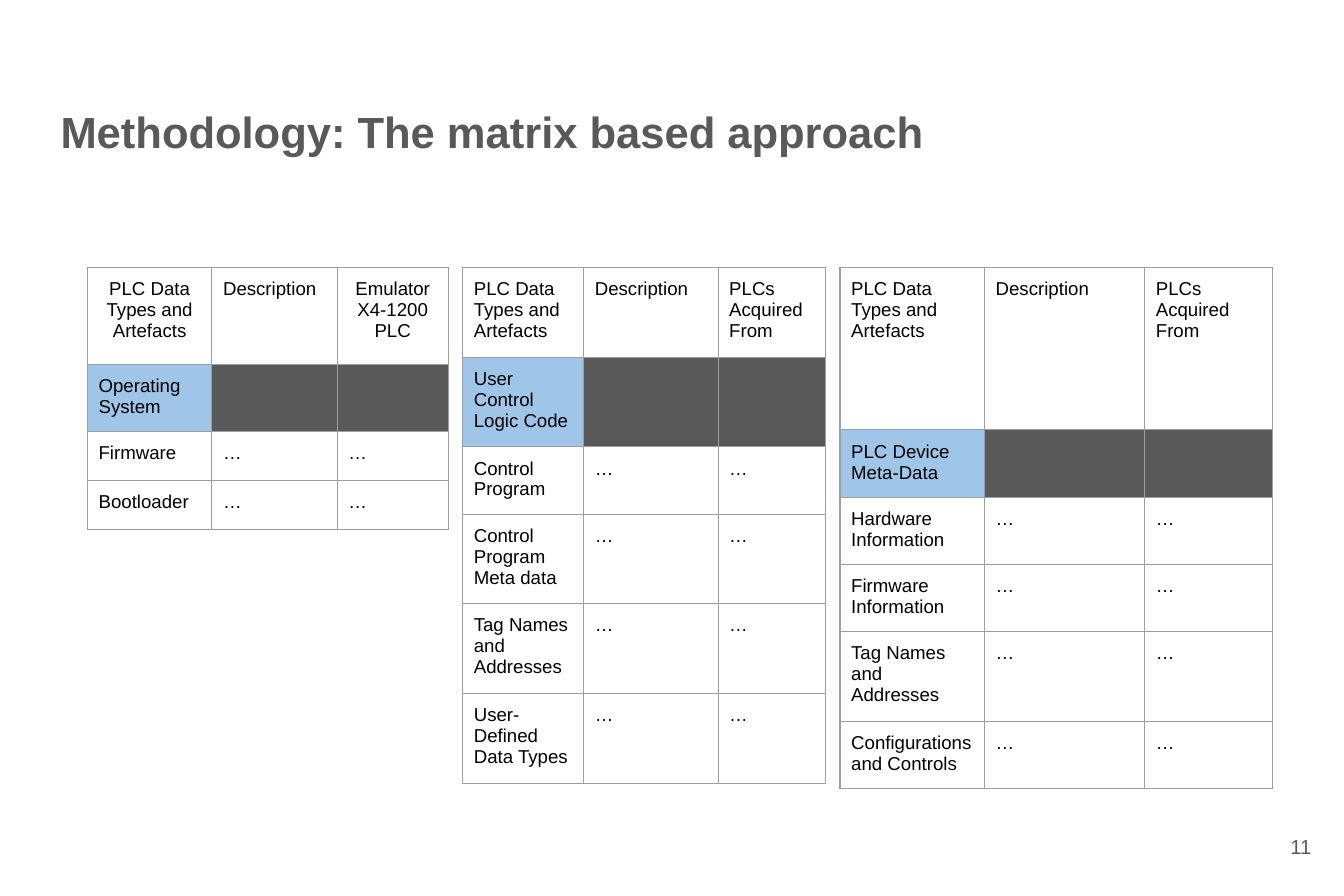
from lxml import etree
from pptx import Presentation
from pptx.dml.color import RGBColor
from pptx.enum.text import MSO_ANCHOR, PP_ALIGN
from pptx.oxml.ns import qn
from pptx.util import Pt

LEFT, CENTER, RIGHT = PP_ALIGN.LEFT, PP_ALIGN.CENTER, PP_ALIGN.RIGHT
MIDDLE = MSO_ANCHOR.MIDDLE
GRAY, BLACK, BLUE, BORDER = "595959", "000000", "9FC5E8", "9E9E9E"
TABLE_TOP = 172
CELL_MARGIN = 7.2
LINE_HEIGHT = 13.4


def color(value):
    return RGBColor.from_string(value)


def write(text_frame, text, size=12, font_color=BLACK, bold=False, align=LEFT, spacing=1.0):
    text_frame.word_wrap = True
    paragraph = text_frame.paragraphs[0]
    paragraph.alignment = align
    paragraph.line_spacing = spacing
    run = paragraph.add_run()
    run.text = text
    run.font.name = "Arial"
    run.font.size = Pt(size)
    run.font.bold = bold
    run.font.color.rgb = color(font_color)


presentation = Presentation()
presentation.slide_width = Pt(864)
presentation.slide_height = Pt(576)
slide = presentation.slides.add_slide(presentation.slide_layouts[6])

# Title and page number
text_boxes = [
    ((29.5, 49.7, 805, 64), "Methodology: The matrix based approach",
     {"size": 28, "bold": True, "spacing": 1.15}),
    ((800.6, 522, 51.8, 44), "11", {"size": 13, "align": RIGHT}),
]
for box, text, text_format in text_boxes:
    text_frame = slide.shapes.add_textbox(*map(Pt, box)).text_frame
    text_frame.margin_left = text_frame.margin_right = Pt(9.4)
    text_frame.margin_top = text_frame.margin_bottom = Pt(9.4)
    text_frame.vertical_anchor = MIDDLE
    write(text_frame, text, font_color=GRAY, **text_format)

# Matrices: each artefact comes with the number of lines it takes
matrices = [
    {"left": 56.2, "columns": [80, 80.6, 71.3], "header_height": 62.3,
     "source": "Emulator X4-1200 PLC", "header_align": CENTER, "minimum": 31.6,
     "artefacts": [("Operating System", 2), ("Firmware", 1), ("Bootloader", 1)]},
    {"left": 297.4, "columns": [77.8, 86.4, 69.1], "header_height": 54.6,
     "source": "PLCs Acquired From", "header_align": LEFT, "minimum": 36,
     "artefacts": [("User Control Logic Code", 3), ("Control Program", 2),
                   ("Control Program Meta data", 3), ("Tag Names and Addresses", 3),
                   ("User-Deﬁned Data Types", 3)]},
    {"left": 540, "columns": [92.9, 103, 82], "header_height": 104.4,
     "source": "PLCs Acquired From", "header_align": LEFT, "minimum": 36,
     "artefacts": [("PLC Device Meta-Data", 2), ("Hardware Information", 2),
                   ("Firmware Information", 2), ("Tag Names and Addresses", 3),
                   ("Conﬁgurations and Controls", 2)]},
]

for matrix in matrices:
    heights = [matrix["header_height"]]
    rows = [["PLC Data Types and Artefacts", "Description", matrix["source"]]]
    for position, (artefact, lines) in enumerate(matrix["artefacts"]):
        heights.append(max(matrix["minimum"], lines * LINE_HEIGHT + 2 * CELL_MARGIN))
        rows.append([artefact] + ["" if position == 0 else "…"] * 2)

    table = slide.shapes.add_table(
        len(rows), 3, Pt(matrix["left"]), Pt(TABLE_TOP),
        Pt(sum(matrix["columns"])), Pt(sum(heights))).table
    table.first_row = table.horz_banding = False
    for column, width in zip(table.columns, matrix["columns"]):
        column.width = Pt(width)

    for row_index, texts in enumerate(rows):
        table.rows[row_index].height = Pt(heights[row_index])
        for column_index, text in enumerate(texts):
            cell = table.cell(row_index, column_index)
            cell.margin_left = cell.margin_right = Pt(CELL_MARGIN)
            cell.margin_top = cell.margin_bottom = Pt(CELL_MARGIN)

            # Borders come before the fill in the cell properties
            properties = cell._tc.get_or_add_tcPr()
            for side in ("a:lnL", "a:lnR", "a:lnT", "a:lnB"):
                line = etree.SubElement(properties, qn(side), w=str(Pt(0.75)))
                line_fill = etree.SubElement(line, qn("a:solidFill"))
                etree.SubElement(line_fill, qn("a:srgbClr"), val=BORDER)

            # The second row names the group
            if row_index == 1:
                cell.fill.solid()
                cell.fill.fore_color.rgb = color(BLUE if column_index == 0 else GRAY)
            else:
                cell.fill.background()

            is_centered = row_index == 0 and column_index != 1
            if text:
                write(cell.text_frame, text,
                      align=matrix["header_align"] if is_centered else LEFT)

presentation.save("out.pptx")
